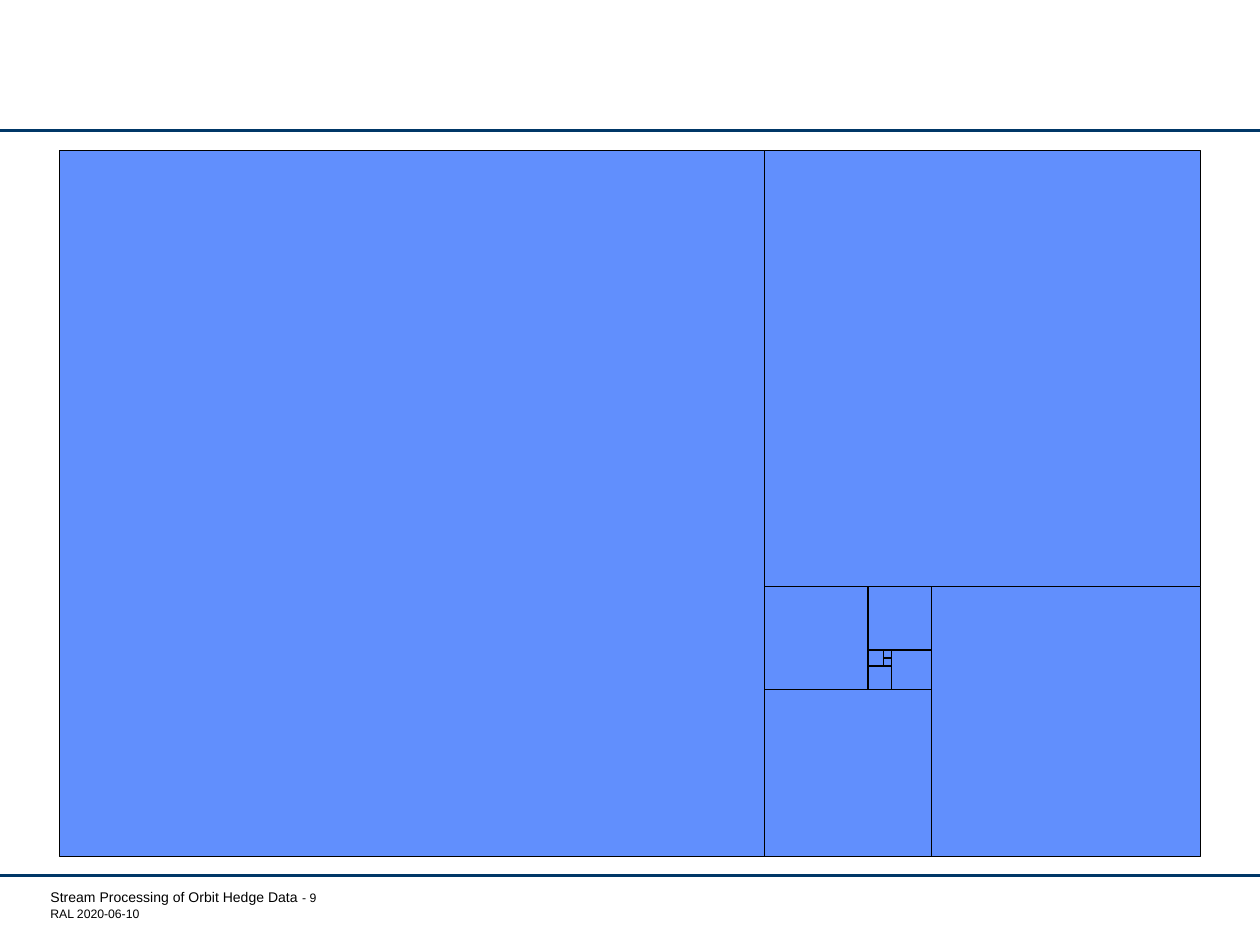
from itertools import cycle

from lxml import etree
from pptx import Presentation
from pptx.dml.color import RGBColor
from pptx.enum.shapes import MSO_CONNECTOR, MSO_SHAPE
from pptx.oxml.ns import qn
from pptx.util import Pt

COLORS = {"rule": "003767", "square": "618FFD", "ink": "000000"}
SLIDE_W, SLIDE_H = 720, 540
UNIT = 4.53  # side of the smallest square
START = (505, 371.5)
SQUARES = 11


def rgb(name):
    return RGBColor.from_string(COLORS[name])


def add_rule(s, y):
    line = s.shapes.add_connector(MSO_CONNECTOR.STRAIGHT, 0, Pt(y), Pt(SLIDE_W), Pt(y))
    line.line.color.rgb = rgb("rule")
    line.line.width = Pt(1.75)
    etree.SubElement(line._element.spPr, qn("a:effectLst"))


def add_footer(s, lines):
    """Each line is a list of (text, size) runs."""
    box = s.shapes.add_textbox(Pt(25.2), Pt(508), Pt(238.3), Pt(20.9))
    tf = box.text_frame
    tf.word_wrap = True
    tf.margin_left = Pt(3.6)
    tf.margin_right = tf.margin_top = tf.margin_bottom = 0
    for i, runs in enumerate(lines):
        p = tf.add_paragraph() if i else tf.paragraphs[0]
        for text, size in runs:
            r = p.add_run()
            r.text = text
            r.font.name = "Arial"
            r.font.size = Pt(size)
            r.font.color.rgb = rgb("ink")


def add_square(s, x, y, side):
    sp = s.shapes.add_shape(MSO_SHAPE.RECTANGLE, Pt(x), Pt(y), Pt(side), Pt(side))
    sp.shadow.inherit = False
    sp.fill.solid()
    sp.fill.fore_color.rgb = rgb("square")
    sp.line.color.rgb = rgb("ink")
    sp.line.width = Pt(0.75)


def add_fibonacci_squares(s):
    """Grow a rectangle by one square at a time, turning counterclockwise."""
    left, top = START
    right, bottom = left + UNIT, top + 2 * UNIT
    add_square(s, left, top, UNIT)
    add_square(s, left, top + UNIT, UNIT)
    turns = cycle(["left", "below", "right", "above"])
    for _ in range(SQUARES - 2):
        turn = next(turns)
        side = bottom - top if turn in ("left", "right") else right - left
        if turn == "left":
            left -= side
            add_square(s, left, top, side)
        elif turn == "right":
            add_square(s, right, top, side)
            right += side
        elif turn == "above":
            top -= side
            add_square(s, left, top, side)
        else:
            add_square(s, left, bottom, side)
            bottom += side


def main():
    prs = Presentation()
    prs.slide_width, prs.slide_height = Pt(SLIDE_W), Pt(SLIDE_H)
    s = prs.slides.add_slide(prs.slide_layouts[6])
    for y in (74.7, 500.4):
        add_rule(s, y)
    add_footer(s, [
        [("Stream Processing of Orbit Hedge Data ", 8), ("- 9", 7)],
        [("RAL 2020-06-10", 7)],
    ])
    add_fibonacci_squares(s)
    prs.save("out.pptx")


if __name__ == "__main__":
    main()
